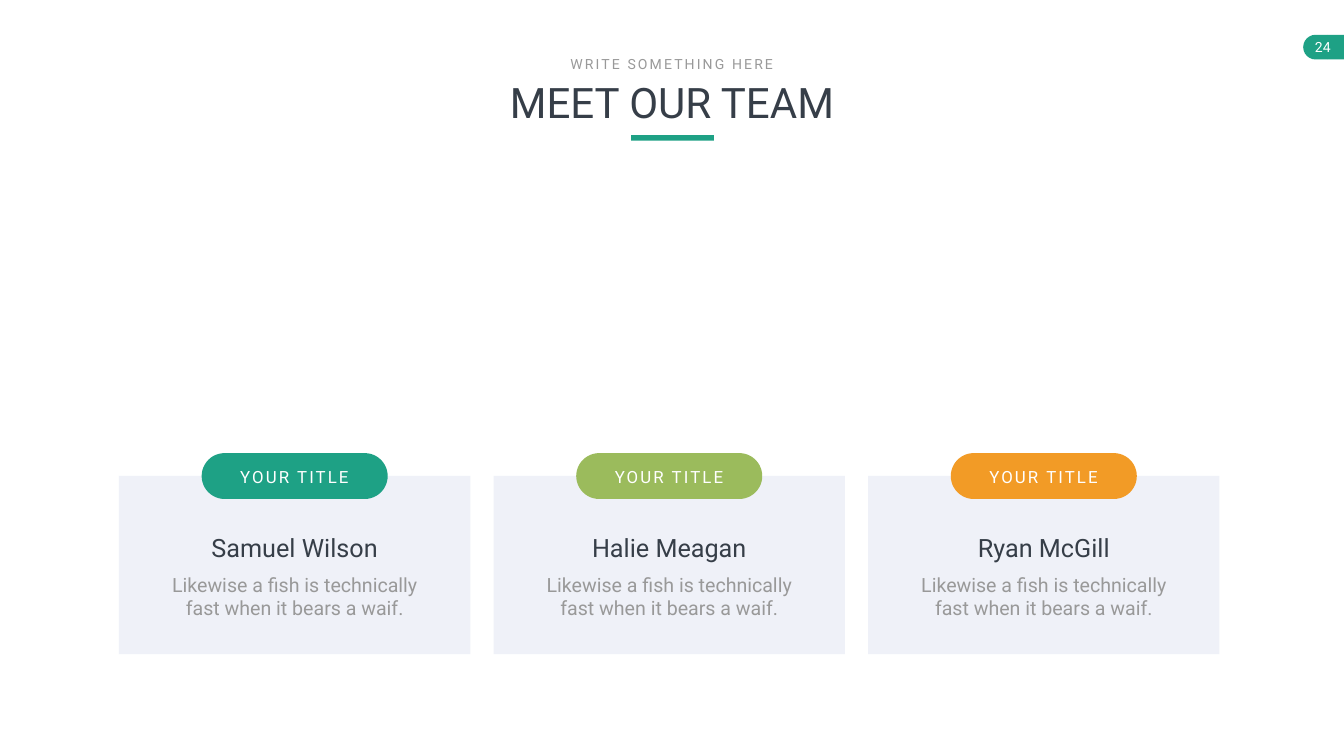
from pptx import Presentation
from pptx.dml.color import RGBColor
from pptx.enum.shapes import MSO_SHAPE
from pptx.enum.text import MSO_ANCHOR, MSO_AUTO_SIZE, PP_ALIGN
from pptx.util import Inches, Pt

RECTANGLE = MSO_SHAPE.RECTANGLE
PILL = MSO_SHAPE.ROUNDED_RECTANGLE
DELAY = MSO_SHAPE.FLOWCHART_DELAY
CENTER = PP_ALIGN.CENTER
TOP = MSO_ANCHOR.TOP
NO_AUTOFIT = MSO_AUTO_SIZE.NONE

PX = Inches(1) // 100
TITLE_ONLY = 5
FONT = "Roboto"
GREEN, LIME, ORANGE = "1EA185", "9BBB5C", "F29B26"
WHITE, DARK, GRAY, PANEL = "FFFFFF", "363E48", "999999", "EFF1F8"

CARD_LEFT, CARD_STEP = 236, 743
MEMBERS = [("Samuel Wilson", GREEN), ("Halie Meagan", LIME), ("Ryan McGill", ORANGE)]
ROLE = "YOUR TITLE"
DESCRIPTION = "Likewise a fish is technically fast when it bears a waif."


def rgb(value):
    """Turn a hex string into a colour."""
    return RGBColor.from_string(value)


def place(*lengths):
    """Turn px lengths into EMU."""
    return [length * PX for length in lengths]


def add_block(shapes, kind, bounds, color):
    """Add a filled shape without line or shadow."""
    block = shapes.add_shape(kind, *place(*bounds))
    block.shadow.inherit = False
    block.fill.solid()
    block.fill.fore_color.rgb = rgb(color)
    block.line.fill.background()
    return block


def write_text(box, text, *, size, color, spacing=0, wrap=True):
    """Write one centred, formatted paragraph into a box."""
    frame = box.text_frame
    frame.word_wrap = wrap
    frame.auto_size = NO_AUTOFIT
    frame.vertical_anchor = TOP
    para = frame.paragraphs[0]
    para.alignment = CENTER
    span = para.add_run()
    span.text = text
    span.font.name = FONT
    span.font.size = Pt(size)
    span.font.color.rgb = rgb(color)
    if spacing:
        span._r.get_or_add_rPr().set("spc", str(spacing * 100))


def add_text(shapes, bounds, text, **style):
    """Add a text box with formatted text."""
    box = shapes.add_textbox(*place(*bounds))
    write_text(box, text, **style)
    return box


def add_page_number(page, number):
    """Add the page number on its tab at the right edge."""
    tab = page.shapes.add_group_shape().shapes
    add_block(tab, DELAY, (2585, 69, 49, 49), GREEN).rotation = 180
    add_block(tab, RECTANGLE, (2634, 69, 32, 49), GREEN)
    box = add_text(tab, (2587, 72, 74, 44), number, size=20, color=WHITE, wrap=False)
    box.text_frame.margin_left = box.text_frame.margin_right = 0


def add_heading(page):
    """Fill the title and add its overline and underline bar."""
    title = page.shapes.title
    title.left, title.top, title.width, title.height = place(838, 147, 990, 111)
    write_text(title, "MEET OUR TEAM", size=60, color=DARK)
    add_block(page.shapes, RECTANGLE, (1252, 268, 164, 11), GREEN)
    add_text(page.shapes, (1115, 105, 435, 44), "WRITE SOMETHING HERE",
             size=20, color=GRAY, spacing=3, wrap=False)


def add_member(page, left, name, color):
    """Add one team member card with its role pill."""
    add_block(page.shapes, RECTANGLE, (left, 944, 697, 354), PANEL)
    add_text(page.shapes, (left + 78, 1051, 541, 71), name, size=36, color=DARK)
    add_text(page.shapes, (left + 78, 1131, 541, 104), DESCRIPTION, size=28, color=GRAY)
    badge = page.shapes.add_group_shape().shapes
    add_block(badge, PILL, (left + 164, 899, 369, 91), color).adjustments[0] = 0.5
    add_text(badge, (left + 225, 921, 246, 50), ROLE,
             size=24, color=WHITE, spacing=3, wrap=False)


def main():
    """Build the team slide and save it."""
    deck = Presentation()
    deck.slide_width, deck.slide_height = place(2666, 1500)
    page = deck.slides.add_slide(deck.slide_layouts[TITLE_ONLY])
    page.background.fill.solid()
    page.background.fill.fore_color.rgb = rgb(WHITE)
    add_page_number(page, "24")
    add_heading(page)
    for index, (name, color) in enumerate(MEMBERS):
        add_member(page, CARD_LEFT + index * CARD_STEP, name, color)
    deck.save("out.pptx")


if __name__ == "__main__":
    main()
